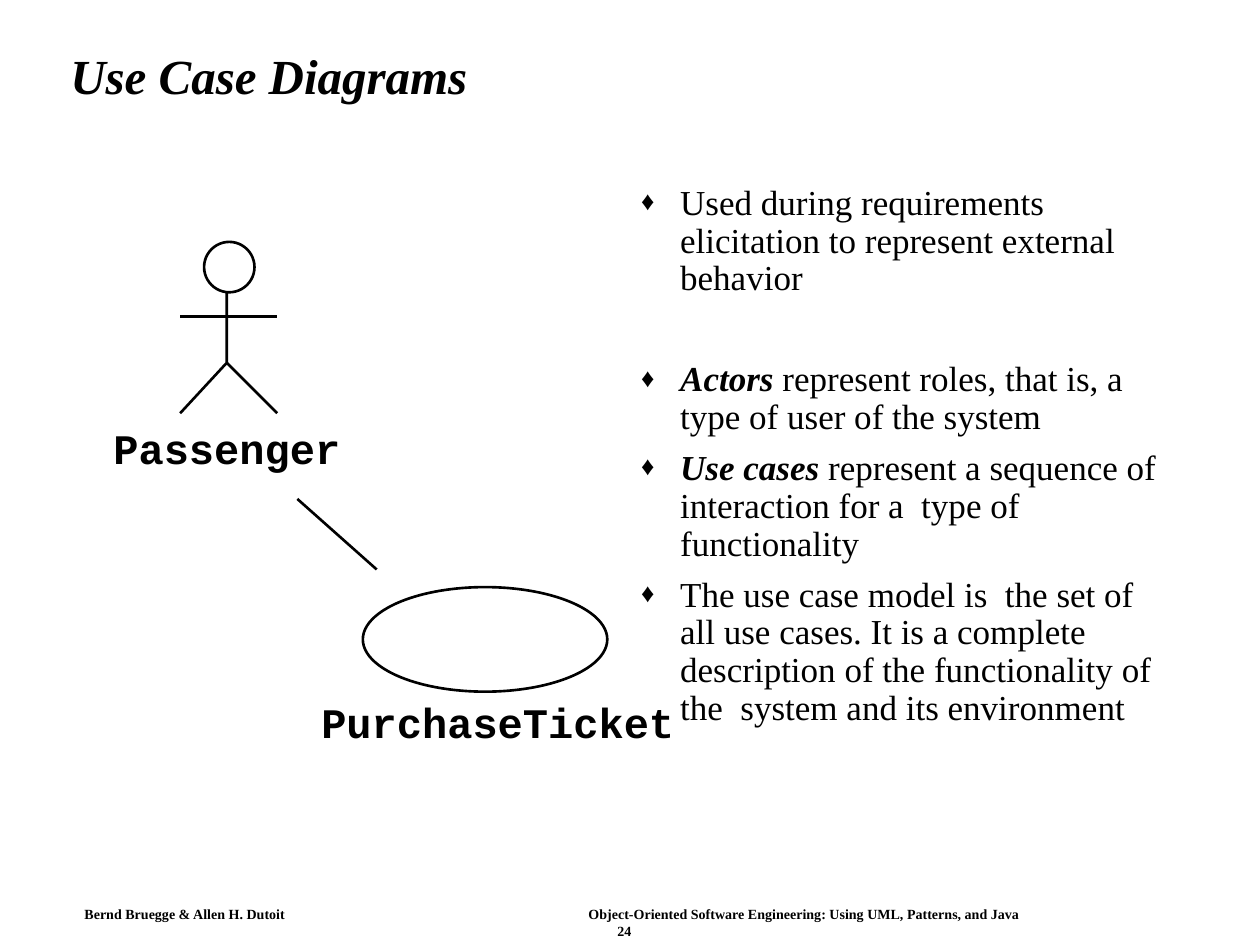
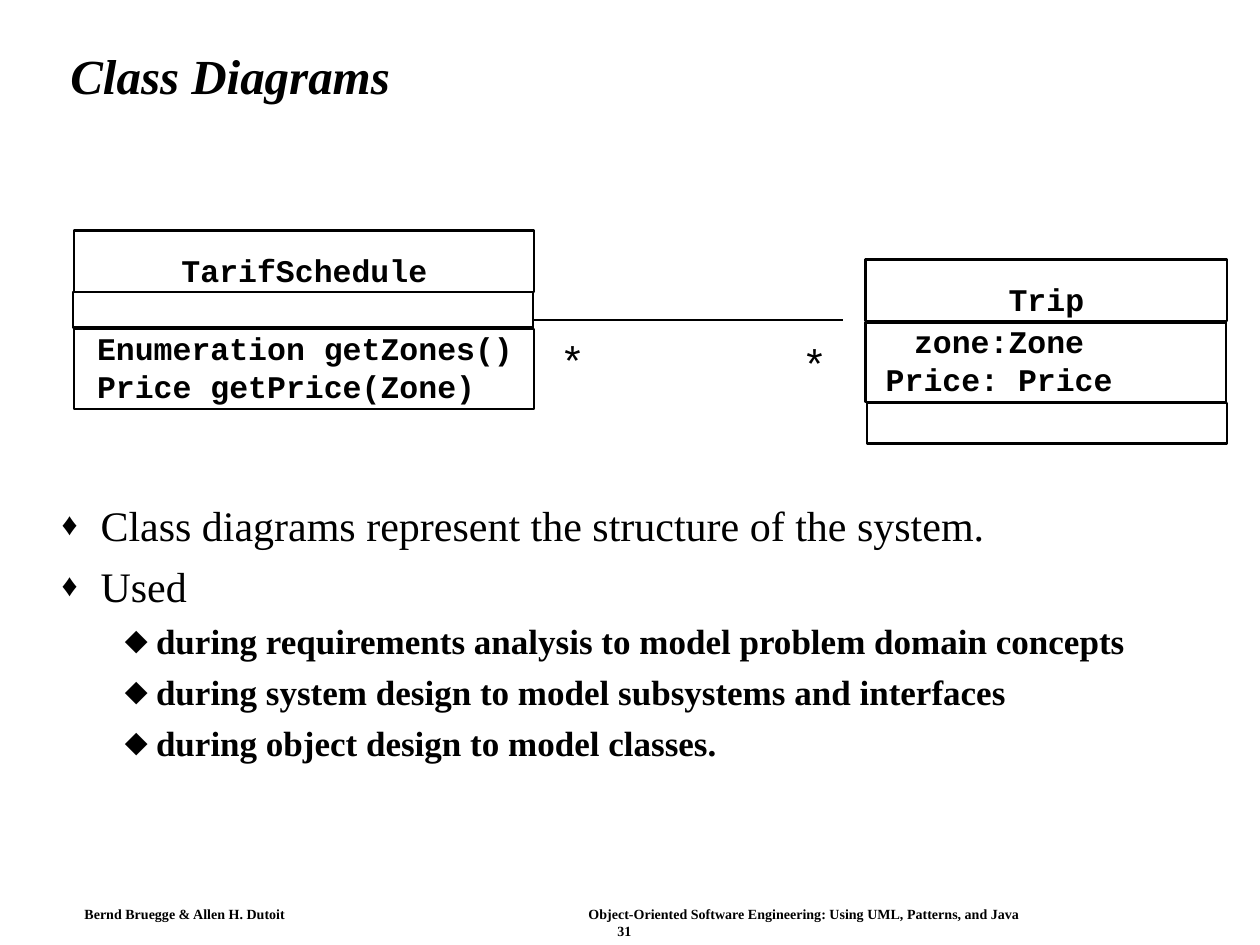
"""Build two UML lecture slides: use case diagrams and class diagrams."""
from lxml import etree
from pptx import Presentation
from pptx import util as u
from pptx.dml.color import RGBColor
from pptx.enum import shapes, text
from pptx.oxml import ns

COLORS = {"ink": "000000", "paper": "FFFFFF"}
SERIF, MONO, SANS = "Times New Roman", "Courier New", "Arial"
INK = RGBColor.from_string(COLORS["ink"])
ALIGN, ANCHOR = text.PP_ALIGN, text.MSO_ANCHOR
SHAPE = shapes.MSO_SHAPE


def write(sp, words, lead="", size=20, font=SERIF, bold=False, italic=False,
          align=ALIGN.LEFT, anchor=ANCHOR.TOP, inset=(0.1, 0.05, 0.1, 0.05),
          wrap=True, spacing=None, before=0, bullet=None, hang=(0, 0),
          bullet_pct=100, tab=None, level=0):
    """Add one paragraph to a shape, after an optional bold italic lead."""
    tf = sp.text_frame
    tf.word_wrap = wrap
    tf.vertical_anchor = anchor
    tf.margin_left, tf.margin_top, tf.margin_right, tf.margin_bottom = map(u.Inches, inset)
    p = tf.add_paragraph() if tf.text else tf.paragraphs[0]
    p.level = level
    pPr = p._p.get_or_add_pPr()
    if bullet:
        pPr.set("marL", str(u.Inches(hang[0])))
        pPr.set("indent", str(u.Inches(hang[1])))
        clr = etree.SubElement(pPr, ns.qn("a:buClr"))
        etree.SubElement(clr, ns.qn("a:srgbClr"), val=COLORS["ink"])
        etree.SubElement(pPr, ns.qn("a:buSzPct"), val=str(bullet_pct * 1000))
        etree.SubElement(pPr, ns.qn("a:buFont"), typeface=SERIF)
        etree.SubElement(pPr, ns.qn("a:buChar"), char=bullet)
    if tab:
        tabs = etree.SubElement(pPr, ns.qn("a:tabLst"))
        etree.SubElement(tabs, ns.qn("a:tab"), pos=str(u.Inches(tab)), algn="l")
    p.alignment = align
    if spacing:
        p.line_spacing = spacing
    if before:
        p.space_before = u.Pt(before)
    for part, strong in ((lead, True), (words, False)):
        if part:
            r = p.add_run()
            r.text = part
            r.font.size, r.font.name = u.Pt(size), font
            r.font.bold, r.font.italic = bold or strong, italic or strong
            r.font.color.rgb = INK


def outlined(s, kind, box, width, fill=None):
    """Add a preset shape with an ink outline and an optional fill."""
    sp = s.shapes.add_shape(kind, *map(u.Inches, box))
    sp.shadow.inherit = False
    sp.line.color.rgb, sp.line.width = INK, u.Pt(width)
    if fill:
        sp.fill.solid()
        sp.fill.fore_color.rgb = RGBColor.from_string(COLORS[fill])
    else:
        sp.fill.background()
    return sp


prs = Presentation()
prs.slide_width, prs.slide_height = u.Inches(10), u.Inches(7.5)

pages = []
for title, number in (("Use Case Diagrams", "24"), ("Class Diagrams", "31")):
    s = prs.slides.add_slide(prs.slide_layouts[6])
    s.background.fill.solid()
    s.background.fill.fore_color.rgb = RGBColor.from_string(COLORS["paper"])
    footer = s.shapes.add_textbox(*map(u.Inches, (0.59, 7.15, 8.65, 0.33)))
    fmt = dict(size=8, bold=True, inset=(0.08, 0.04, 0, 0.04))
    write(footer, "Bernd Bruegge & Allen H. Dutoit\t"
          "Object-Oriented Software Engineering: Using UML, Patterns, and Java", tab=4, **fmt)
    write(footer, number, align=ALIGN.CENTER, **fmt)
    heading = s.shapes.add_textbox(*map(u.Inches, (0.46, 0.24, 8.92, 0.77)))
    write(heading, title, size=28, bold=True, italic=True, anchor=ANCHOR.MIDDLE, spacing=0.9)
    pages.append(s)
use_case, classes = pages

point = dict(bullet="♦", bullet_pct=75, hang=(0.31, -0.31), spacing=0.9)
body = use_case.shapes.add_textbox(*map(u.Inches, (4.99, 1.42, 4.43, 5.38)))
for lead, words, before in (
        ("", "Used during requirements elicitation to represent external behavior", 0),
        ("Actors", " represent roles, that is, a type of user of the system", 36),
        ("Use cases", " represent a sequence of interaction for a  type of functionality", 7.5),
        ("", "The use case model is  the set of all use cases. It is a complete description "
         "of the functionality of the  system and its environment", 7.5)):
    write(body, words, lead=lead, before=before, **point)

fb = use_case.shapes.build_freeform(u.Inches(1.8), u.Inches(2.2), scale=1.0)
fb.add_line_segments([(u.Inches(x), u.Inches(y)) for x, y in ((1.8, 2.88), (1.43, 3.28))],
                     close=False)
spine = fb.convert_to_shape()
spine.shadow.inherit = False
spine.fill.background()
spine.line.color.rgb, spine.line.width = INK, u.Pt(1.5)

for s, x1, y1, x2, y2, width in (
        (use_case, 1.8, 2.88, 2.2, 3.28, 1.5),
        (use_case, 1.43, 2.51, 2.2, 2.51, 1.5),
        (use_case, 2.36, 3.96, 2.99, 4.52, 1.5),
        (classes, 4.24, 2.54, 6.69, 2.54, 0.75)):
    cx = s.shapes.add_connector(shapes.MSO_CONNECTOR.STRAIGHT, *map(u.Inches, (x1, y1, x2, y2)))
    cx.line.color.rgb, cx.line.width = INK, u.Pt(width)
    etree.SubElement(cx._element.spPr, ns.qn("a:effectLst"))

outlined(use_case, SHAPE.OVAL, (1.62, 1.92, 0.4, 0.4), 1.5, fill="paper")
outlined(use_case, SHAPE.OVAL, (2.88, 4.66, 1.94, 0.83), 1.5)
for label, box in (("Passenger", (0.9, 3.35, 1.9, 0.4)),
                   ("PurchaseTicket", (2.55, 5.53, 2.9, 0.4))):
    sp = use_case.shapes.add_textbox(*map(u.Inches, box))
    write(sp, label, size=24, font=MONO, bold=True, inset=(0, 0, 0, 0))

body = classes.shapes.add_textbox(*map(u.Inches, (0.39, 3.96, 9.03, 2.84)))
write(body, "Class diagrams represent the structure of the system.", size=24, **point)
write(body, "Used", size=24, before=9, **point)
for words in ("during requirements analysis to model problem domain concepts",
              "during system design to model subsystems and interfaces",
              "during object design to model classes."):
    write(body, words, bold=True, level=1, bullet="⬥", hang=(0.75, -0.25),
          spacing=0.9, before=7.5)

name = dict(align=ALIGN.CENTER, anchor=ANCHOR.BOTTOM, inset=(0, 0, 0, 0.03))
operations = dict(inset=(0.18, 0, 0, 0))
attributes = dict(align=ALIGN.CENTER, inset=(0.16, 0, 0.9, 0))
for box, lines, fmt in (
        ((0.59, 1.83, 3.65, 0.49), ["TarifSchedule"], name),
        ((0.58, 2.32, 3.65, 0.28), [], {}),
        ((0.59, 2.61, 3.65, 0.64), ["Enumeration getZones()", "Price getPrice(Zone)"], operations),
        ((6.87, 2.06, 2.87, 0.49), ["Trip"], name),
        ((6.87, 2.56, 2.86, 0.63), ["zone:Zone", "Price: Price"], attributes),
        ((6.88, 3.2, 2.86, 0.32), [], {})):
    sp = outlined(classes, SHAPE.RECTANGLE, box, 1.25)
    for words in lines:
        write(sp, words, size=18, font=MONO, bold=True, **fmt)

for x, y in ((4.38, 2.6), (6.3, 2.62)):
    sp = classes.shapes.add_textbox(*map(u.Inches, (x, y, 0.33, 0.5)))
    write(sp, "*", size=24, font=SANS, align=ALIGN.CENTER, anchor=ANCHOR.MIDDLE, wrap=False)

prs.save("out.pptx")
